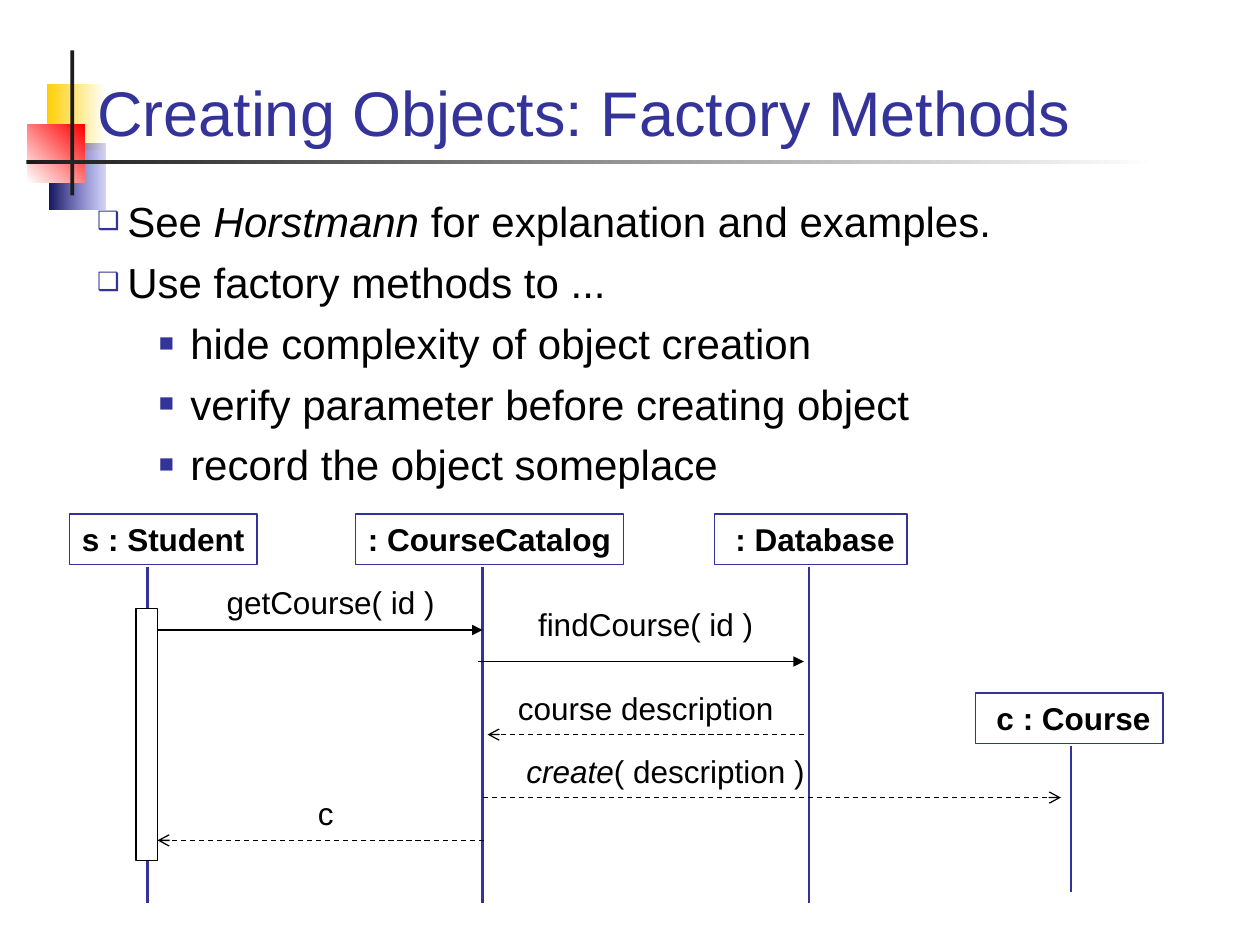
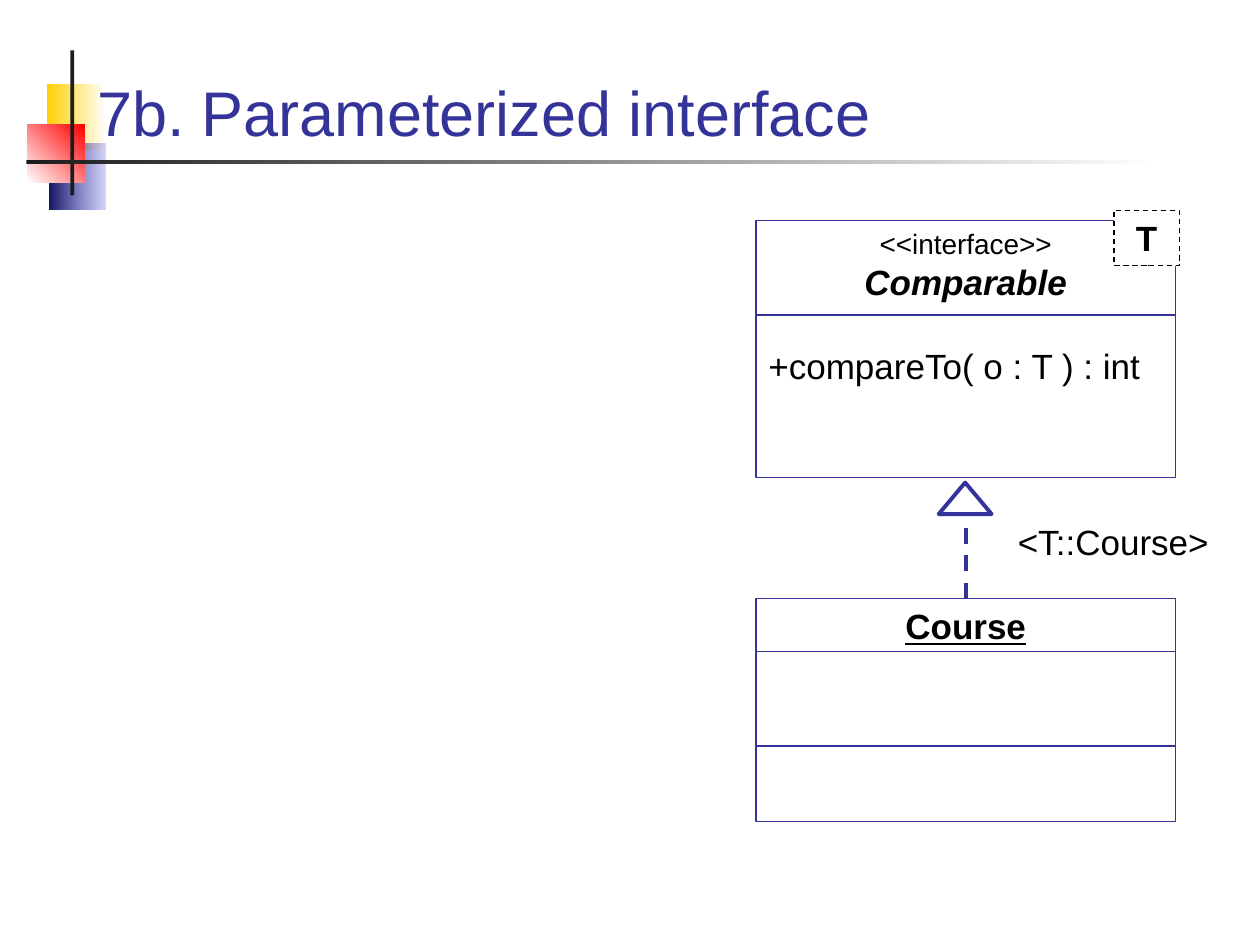
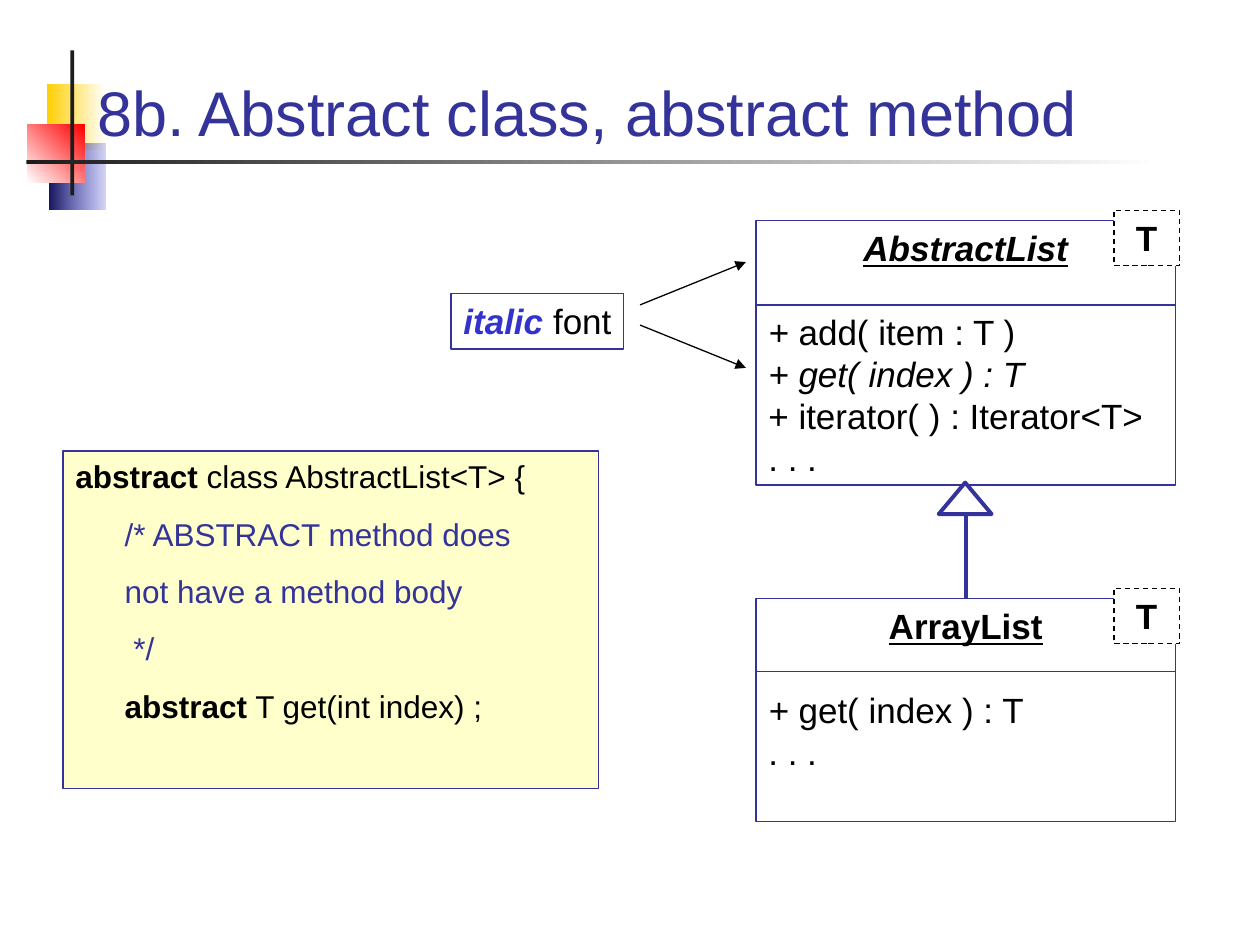
from lxml.etree import SubElement
from pptx import Presentation
from pptx.dml.color import RGBColor
from pptx.enum.dml import MSO_LINE
from pptx.enum.shapes import MSO_CONNECTOR, MSO_SHAPE
from pptx.enum.text import MSO_ANCHOR, MSO_AUTO_SIZE, PP_ALIGN
from pptx.oxml.ns import qn
from pptx.util import Inches, Pt

FONT = "Arial"
INDIGO = RGBColor(0x33, 0x33, 0x99)
BLUE = RGBColor(0x33, 0x33, 0xCC)
NAVY = RGBColor(0x17, 0x17, 0x5E)
RED = RGBColor(0xFF, 0x00, 0x00)
GOLD = RGBColor(0xFF, 0xCF, 0x01)
CREAM = RGBColor(0xFF, 0xFF, 0xCC)
DARK = RGBColor(0x1C, 0x1C, 0x1C)
BLACK = RGBColor(0, 0, 0)
WHITE = RGBColor(0xFF, 0xFF, 0xFF)
LEFT, MID = PP_ALIGN.LEFT, PP_ALIGN.CENTER

# Shared band: place, start colour, end colour, angle, opacity of the end
BAND = [
    ((0.37, 0.67, 0.47, 0.52), GOLD, WHITE, 0, 100),
    ((0.39, 1.14, 0.45, 0.52), NAVY, BLUE, 0, 20),
    ((0.22, 0.99, 0.45, 0.46), WHITE, RED, 45, 100),
    ((0.56, 0.4, 0.03, 1.15), DARK, DARK, 0, 100),
    ((0.21, 1.27, 8.99, 0.03), DARK, WHITE, 0, 100),
]

# A run is (text, style letters, colour); a paragraph is a string, a list of
# runs, or a pair of either with its own format.
SUB = dict(level=1, indent=0.74, hang=0.25, bullet="■")
POINTS = [
    [("See ", ""), ("Horstmann", "i"), (" for explanation and examples.", "")],
    "Use factory methods to ...",
    ("hide complexity of object creation", SUB),
    ("verify parameter before creating object", SUB),
    ("record the object someplace", SUB),
]

# Sequence diagram: label, left, top, width, lifeline x, lifeline end
ACTORS = [
    ("s : Student", 0.55, 4.08, 1.49, 1.17, 7.17),
    (": CourseCatalog", 2.82, 4.08, 2.13, 3.83, 7.17),
    (" c : Course", 7.74, 5.5, 1.49, 8.5, 7.08),
    (" : Database", 5.67, 4.08, 1.53, 6.42, 7.17),
]
# Message: runs, left, top, width, align, from x, to x, y, dashed
CALLS = [
    ("getCourse( id )", 1.46, 4.58, 2.33, MID, 1.25, 3.83, 5, False),
    ("findCourse( id )", 3.96, 4.75, 2.33, MID, 3.79, 6.38, 5.25, False),
    ("course description", 3.96, 5.42, 2.33, MID, 6.38, 3.87, 5.83, True),
    ([("create", "i"), ("( description )", "")],
     4.08, 5.92, 2.67, LEFT, 3.83, 8.42, 6.33, True),
    ("c", 1.42, 6.25, 2.33, MID, 3.84, 1.25, 6.67, True),
]

# Class boxes: top, height, dividers, has a type tag, paragraphs
HEAD = dict(align=MID)
GAP = dict(before=24)
COMPARE = (1.75, 2.04, [2.5], True, [
    ("<<interface>>", dict(align=MID, size=16)),
    ([("Comparable", "bi")], HEAD),
    ("+compareTo( o : T ) : int", GAP),
])
COURSE = (4.75, 1.77, [5.17, 5.92], False, [([("Course", "bu")], HEAD)])
ABSTRACT = (1.75, 2.1, [2.42], True, [
    ([("AbstractList", "biu")], HEAD),
    ([("+ ", "i"), ("add( item : T )", "")], GAP),
    [("+ get( index ) : T", "i")],
    "+ iterator( ) : Iterator<T>",
    ". . .",
])
ARRAY = (4.75, 1.77, [5.33], True, [
    ([("ArrayList", "bu")], HEAD),
    ([("+ ", "i"), ("get( index ) : T", "")], GAP),
    ". . .",
])

INNER = dict(indent=0.39)
CODE = [
    [("abstract", "b"), (" class AbstractList<T> {", "")],
    ([("/* ABSTRACT method does", "", INDIGO)], INNER),
    ([("not have a method body", "", INDIGO)], INNER),
    ([(" */", "", INDIGO)], INNER),
    ([("abstract", "b"), (" T get(int index) ;", "")], INNER),
]


def style(para, size=18, color=BLACK, align=LEFT, before=0,
          level=0, indent=0, hang=0, bullet=None):
    """Format one paragraph."""
    props = para._p.get_or_add_pPr()
    props.set("marL", str(Inches(indent)))
    props.set("indent", str(-Inches(hang)))
    if bullet:
        tint = SubElement(props, qn("a:buClr"))
        SubElement(tint, qn("a:srgbClr"), val=str(INDIGO))
        SubElement(props, qn("a:buSzPct"), val="60000")
        SubElement(props, qn("a:buChar"), char=bullet)
    para.level = level
    para.alignment = align
    para.space_before = Pt(before)
    para.line_spacing = Pt(round(size * 1.2, 1))
    para.font.size = Pt(size)
    para.font.name = FONT
    para.font.color.rgb = color


def write(shape, paras, wrap=True, anchor=MSO_ANCHOR.TOP, **form):
    """Fill a shape with paragraphs; form holds the defaults of style()."""
    frame = shape.text_frame
    frame.word_wrap = wrap
    frame.auto_size = MSO_AUTO_SIZE.NONE
    frame.vertical_anchor = anchor
    for num, item in enumerate(paras):
        runs, own = item if isinstance(item, tuple) else (item, {})
        look = {**form, **own}
        if num == 0:
            look["before"] = 0
        para = frame.add_paragraph() if num else frame.paragraphs[0]
        style(para, **look)
        for words, marks, *tint in [(runs, "")] if isinstance(runs, str) else runs:
            run = para.add_run()
            run.text = words
            font = run.font
            font.name, font.size = FONT, Pt(look.get("size", 18))
            font.bold, font.italic = "b" in marks, "i" in marks
            font.underline = "u" in marks
            font.color.rgb = tint[0] if tint else look.get("color", BLACK)


def place(shape, *spot):
    shape.left, shape.top, shape.width, shape.height = map(Inches, spot)


def draw(slide, spot, fill=None, line=INDIGO, width=0.75, dash=False,
         kind=MSO_SHAPE.RECTANGLE):
    shape = slide.shapes.add_shape(kind, *map(Inches, spot))
    shape.shadow.inherit = False
    if fill is None:
        shape.fill.background()
    else:
        shape.fill.solid()
        shape.fill.fore_color.rgb = fill
    if line is None:
        shape.line.fill.background()
    else:
        shape.line.color.rgb = line
        shape.line.width = Pt(width)
    if dash:
        shape.line.dash_style = MSO_LINE.DASH
    return shape


def link(slide, x1, y1, x2, y2, color=INDIGO, width=0.75, dash=False, tip=None):
    wire = slide.shapes.add_connector(
        MSO_CONNECTOR.STRAIGHT, *map(Inches, (x1, y1, x2, y2)))
    wire.line.color.rgb = color
    wire.line.width = Pt(width)
    if dash:
        wire.line.dash_style = MSO_LINE.DASH
    if tip:
        SubElement(wire.line._get_or_add_ln(), qn("a:tailEnd"), type=tip)
    SubElement(wire._element.spPr, qn("a:effectLst"))


def label(slide, spot, paras, **form):
    write(slide.shapes.add_textbox(*map(Inches, spot)), paras, **form)


def brand(deck, slide):
    """Draw the band once and move it to the back of the master."""
    tree = deck.slide_master.shapes.element
    for num, (spot, start, end, angle, alpha) in enumerate(BAND):
        shape = draw(slide, spot, fill=start, line=None)
        if start != end:
            shape.fill.gradient()
            shape.fill.gradient_angle = angle
            for stop, color in zip(shape.fill.gradient_stops, (start, end)):
                stop.color.rgb = color
        if alpha < 100:
            last = list(shape.element.spPr.iter(qn("a:srgbClr")))[-1]
            SubElement(last, qn("a:alpha"), val=str(alpha * 1000))
        shape.element.nvSpPr.cNvPr.set("id", str(100 + num))
        tree.insert(2 + num, shape.element)


def start(deck, title, layout=5):
    slide = deck.slides.add_slide(deck.slide_layouts[layout])
    head = slide.shapes.title
    place(head, 0.67, 0.28, 8.66, 0.95)
    write(head, [title], size=36, color=INDIGO, anchor=MSO_ANCHOR.BOTTOM)
    return slide


def classes(slide, upper, lower, dash=False):
    """Two class boxes joined by an inheritance arrow, with type tags."""
    for top, high, splits, _, paras in (upper, lower):
        write(draw(slide, (6, top, 3.33, high)), paras, size=20)
        for y in splits:
            link(slide, 6, y, 9.33, y)
    link(slide, 7.67, 4.75, 7.67, 4.08, width=2.25, dash=dash)
    draw(slide, (7.45, 3.83, 0.42, 0.25), width=2.25,
         kind=MSO_SHAPE.ISOSCELES_TRIANGLE)
    for top, _, _, tagged, _ in (upper, lower):
        if tagged:
            tag = draw(slide, (8.84, top - 0.08, 0.52, 0.44),
                       fill=WHITE, line=BLACK, dash=True)
            write(tag, [[(" T ", "b")]], size=20, align=MID, wrap=False)


def factory(deck):
    slide = start(deck, "Creating Objects: Factory Methods", layout=1)
    brand(deck, slide)
    body = slide.placeholders[1]
    place(body, 0.67, 1.5, 8.66, 2.5)
    write(body, POINTS, size=24, before=6, indent=0.24, hang=0.24, bullet="❑")
    # Actors and lifelines
    for name, left, top, wide, x, end in ACTORS:
        box = draw(slide, (left, top, wide, 0.4))
        write(box, [[(name, "b")]], align=MID, wrap=False)
        link(slide, x, top + 0.42, x, end, width=1.5)
    # Messages
    for words, left, top, wide, align, x1, x2, y, dash in CALLS:
        link(slide, x1, y, x2, y, color=BLACK, dash=dash,
             tip="arrow" if dash else "triangle")
        label(slide, (left, top, wide, 0.4), [words], align=align)
    # Activation bar
    draw(slide, (1.08, 4.83, 0.17, 2), fill=WHITE, line=BLACK)


def generic(deck):
    slide = start(deck, "7b. Parameterized interface")
    classes(slide, COMPARE, COURSE, dash=True)
    label(slide, (7.98, 4.08, 1.74, 0.44), ["<T::Course>"], size=20, wrap=False)


def abstract(deck):
    slide = start(deck, "8b. Abstract class, abstract method")
    classes(slide, ABSTRACT, ARRAY)
    # Note on italics, pointing at the abstract parts
    for y1, y2 in ((2.58, 2.92), (2.42, 2.08)):
        link(slide, 5.08, y1, 5.92, y2, color=BLACK, tip="triangle")
    note = draw(slide, (3.58, 2.33, 1.37, 0.44))
    write(note, [[("italic ", "bi", BLUE), ("font", "")]], size=20, wrap=False)
    # Code sample
    write(draw(slide, (0.5, 3.58, 4.25, 2.68), fill=CREAM), CODE, before=11.2)


def main():
    deck = Presentation()
    deck.slide_width, deck.slide_height = Inches(10), Inches(7.5)
    factory(deck)
    generic(deck)
    abstract(deck)
    deck.save("out.pptx")


if __name__ == "__main__":
    main()
